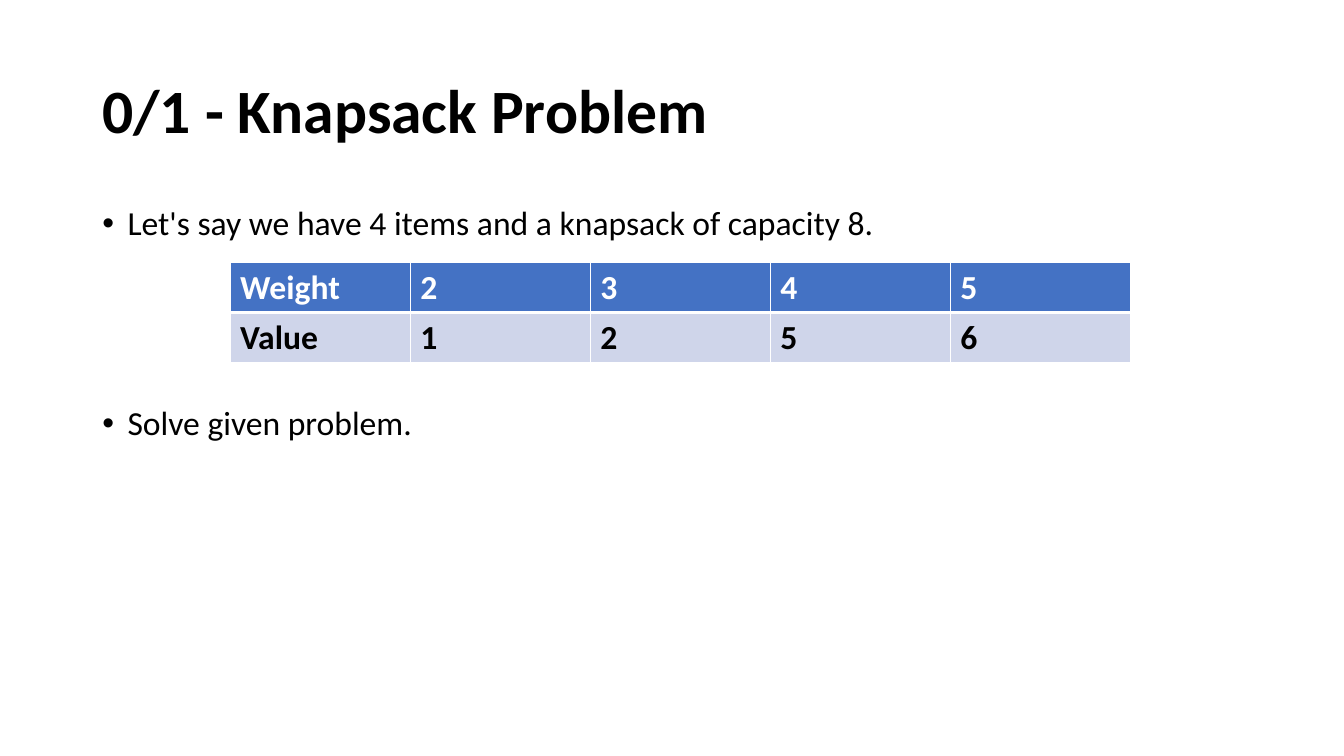
from lxml import etree
from pptx import Presentation, util as u
from pptx.dml.color import RGBColor
from pptx.enum import text
from pptx.oxml.ns import qn

BLACK = RGBColor(0x00, 0x00, 0x00)
WHITE = RGBColor(0xFF, 0xFF, 0xFF)
HEADER_BLUE = RGBColor(0x44, 0x72, 0xC4)
PALE_BLUE = RGBColor(0xCF, 0xD5, 0xEA)

COLUMNS, ROWS = 160, 90
ITEMS = [("Weight", "2", "3", "4", "5"), ("Value", "1", "2", "5", "6")]


class ProblemSlide:
    """Places styled elements on a page, measured in grid columns and rows."""

    font_name = "Calibri"
    body_size = 24
    title_size = 44
    line_spacing = 0.9

    def __init__(self, deck):
        self.page = deck.slides.add_slide(deck.slide_layouts[6])
        self.column = deck.slide_width / COLUMNS
        self.row = deck.slide_height / ROWS

    def place(self, left, top, width, height):
        return (u.Emu(round(left * self.column)), u.Emu(round(top * self.row)),
                u.Emu(round(width * self.column)), u.Emu(round(height * self.row)))

    def add_span(self, para, words, size, color=BLACK, bold=False):
        span = para.add_run()
        span.text = words
        span.font.name = self.font_name
        span.font.size = u.Pt(size)
        span.font.bold = bold
        span.font.color.rgb = color

    def text_box(self, *area, anchor=text.MSO_ANCHOR.TOP):
        frame = self.page.shapes.add_textbox(*self.place(*area)).text_frame
        frame.word_wrap = True
        frame.vertical_anchor = anchor
        return frame

    def title(self, words, *area):
        frame = self.text_box(*area, anchor=text.MSO_ANCHOR.MIDDLE)
        para = frame.paragraphs[0]
        para.line_spacing = self.line_spacing
        self.add_span(para, words, self.title_size, bold=True)

    def bullets(self, lines, gap, *area):
        """Lists the lines with gap points between them."""
        frame = self.text_box(*area)
        for number, words in enumerate(lines):
            para = frame.add_paragraph() if number else frame.paragraphs[0]
            para.line_spacing = self.line_spacing
            if number:
                para.space_before = u.Pt(gap)
            settings = para._p.get_or_add_pPr()
            settings.set("marL", str(u.Inches(0.25)))
            settings.set("indent", str(-u.Inches(0.25)))
            etree.SubElement(settings, qn("a:buFont"), typeface="Arial")
            etree.SubElement(settings, qn("a:buChar"), char="•")
            self.add_span(para, words, self.body_size)

    def borders(self, cell, **widths):
        """Draws white cell edges; widths in points, keyed L, R, T and B."""
        settings = cell._tc.get_or_add_tcPr()
        for side, width in widths.items():
            edge = etree.SubElement(settings, qn(f"a:ln{side}"), w=str(u.Pt(width)))
            fill = etree.SubElement(edge, qn("a:solidFill"))
            etree.SubElement(fill, qn("a:srgbClr"), val=str(WHITE))

    def table(self, records, *area):
        place = self.place(*area)
        grid = self.page.shapes.add_table(len(records), len(records[0]), *place).table
        for y, record in enumerate(records):
            header = y == 0
            for x, words in enumerate(record):
                cell = grid.cell(y, x)
                self.borders(cell, L=1, R=1, T=1 if header else 3, B=3 if header else 1)
                cell.fill.solid()
                cell.fill.fore_color.rgb = HEADER_BLUE if header else PALE_BLUE
                self.add_span(cell.text_frame.paragraphs[0], words, self.body_size,
                              WHITE if header else BLACK, bold=True)


def main():
    deck = Presentation()
    deck.slide_width, deck.slide_height = u.Inches(13.33), u.Inches(7.5)
    slide = ProblemSlide(deck)
    slide.title("0/1 - Knapsack Problem", 11, 4.8, 138, 17.4)
    slide.bullets(["Let's say we have 4 items and a knapsack of capacity 8.",
                   "Solve given problem."], 117, 11, 24, 145, 63.7)
    slide.table(ITEMS, 27.4, 31.2, 107.2, 12)
    deck.save("out.pptx")


if __name__ == "__main__":
    main()
